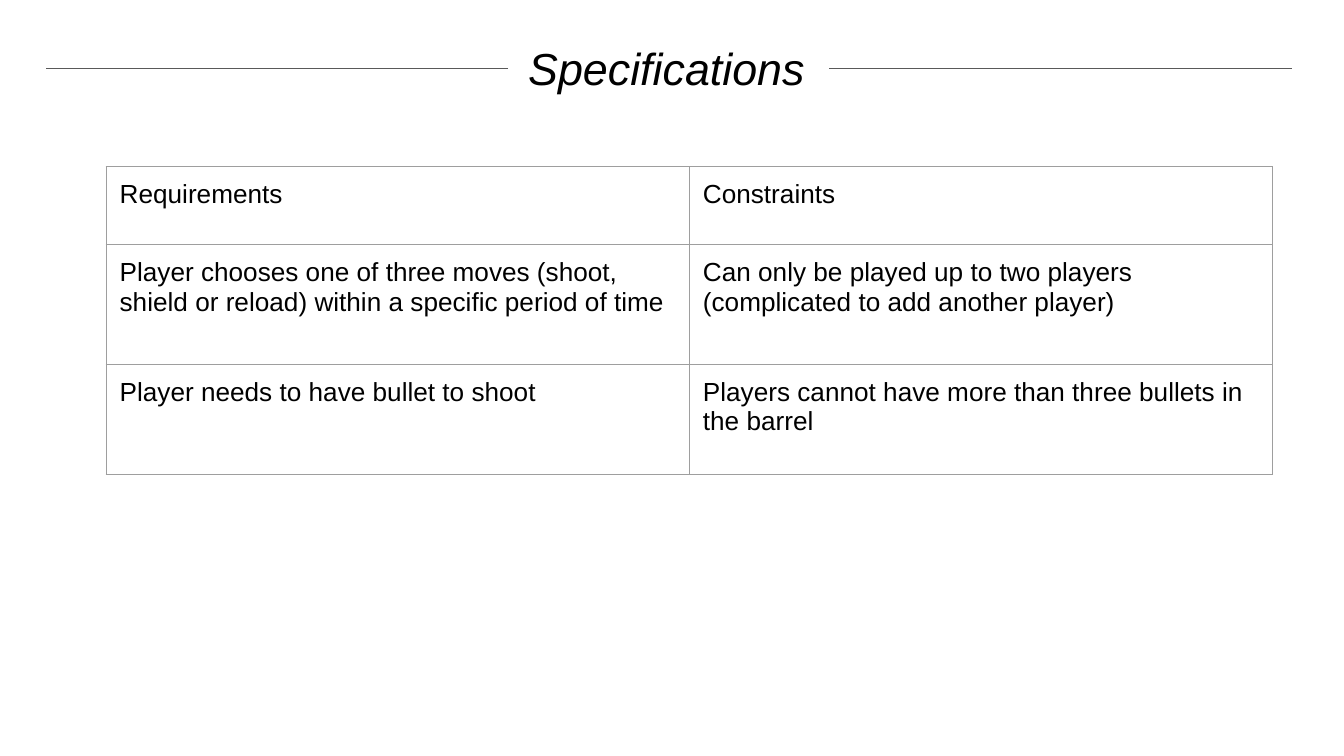
from lxml import etree
from pptx import Presentation
from pptx.dml.color import RGBColor
from pptx.enum.shapes import MSO_CONNECTOR
from pptx.enum.text import MSO_ANCHOR, PP_ALIGN
from pptx.oxml.ns import qn
from pptx.util import Inches, Pt

TITLE = "Specifications"
SPECIFICATIONS = [
    ("Requirements", "Constraints"),
    ("Player chooses one of three moves (shoot, shield or reload) within a specific period of time",
     "Can only be played up to two players (complicated to add another player)"),
    ("Player needs to have bullet to shoot",
     "Players cannot have more than three bullets in the barrel"),
]
ROW_HEIGHTS = [0.58, 0.89, 0.82]
COLUMN_WIDTH = 4.34
TABLE_LEFT, TABLE_TOP = 0.79, 1.24
TITLE_BOX = (3.83, 0.2, 2.33, 0.63)
RULE_STARTS = [0.34, 6.17]
RULE_LENGTH, RULE_Y = 3.44, 0.51
PADDING = Inches(0.1)
TEXT, RULE, BORDER = "000000", "595959", "9E9E9E"


def color(hex_value):
    return RGBColor.from_string(hex_value)


def style_text(frame, size, italic=False):
    for paragraph in frame.paragraphs:
        paragraph.alignment = PP_ALIGN.LEFT
        for run in paragraph.runs:
            run.font.name = "Arial"
            run.font.size = Pt(size)
            run.font.bold = False
            run.font.italic = italic
            run.font.color.rgb = color(TEXT)


def pad(box):
    box.margin_left = box.margin_right = PADDING
    box.margin_top = box.margin_bottom = PADDING


def add_borders(cell):
    properties = cell._tc.get_or_add_tcPr()
    for position, side in enumerate(("a:lnL", "a:lnR", "a:lnT", "a:lnB")):
        line = etree.Element(qn(side), w=str(Pt(0.75)))
        fill = etree.SubElement(line, qn("a:solidFill"))
        etree.SubElement(fill, qn("a:srgbClr"), val=BORDER)
        properties.insert(position, line)


def add_title(slide):
    title = slide.shapes.title
    title.left, title.top, title.width, title.height = map(Inches, TITLE_BOX)
    frame = title.text_frame
    frame.text = TITLE
    frame.word_wrap = True
    frame.vertical_anchor = MSO_ANCHOR.TOP
    pad(frame)
    style_text(frame, 24, italic=True)


def add_specifications(slide):
    columns = len(SPECIFICATIONS[0])
    table = slide.shapes.add_table(
        len(SPECIFICATIONS), columns, Inches(TABLE_LEFT), Inches(TABLE_TOP),
        Inches(COLUMN_WIDTH * columns), Inches(sum(ROW_HEIGHTS))).table
    table.first_row = table.horz_banding = False
    for column in table.columns:
        column.width = Inches(COLUMN_WIDTH)
    for row, height, entries in zip(table.rows, ROW_HEIGHTS, SPECIFICATIONS):
        row.height = Inches(height)
        for cell, entry in zip(row.cells, entries):
            cell.text_frame.text = entry
            cell.fill.background()
            pad(cell)
            style_text(cell.text_frame, 14)
            add_borders(cell)


def add_title_rules(slide):
    for start in RULE_STARTS:
        rule = slide.shapes.add_connector(
            MSO_CONNECTOR.STRAIGHT, Inches(start + RULE_LENGTH), Inches(RULE_Y),
            Inches(start), Inches(RULE_Y))
        rule.line.color.rgb = color(RULE)
        rule.line.width = Pt(0.75)
        etree.SubElement(rule._element.spPr, qn("a:effectLst"))


def main():
    presentation = Presentation()
    presentation.slide_width = Inches(10)
    presentation.slide_height = presentation.slide_width * 9 // 16
    slide = presentation.slides.add_slide(presentation.slide_layouts[5])
    add_title(slide)
    add_specifications(slide)
    add_title_rules(slide)
    presentation.save("out.pptx")


if __name__ == "__main__":
    main()
